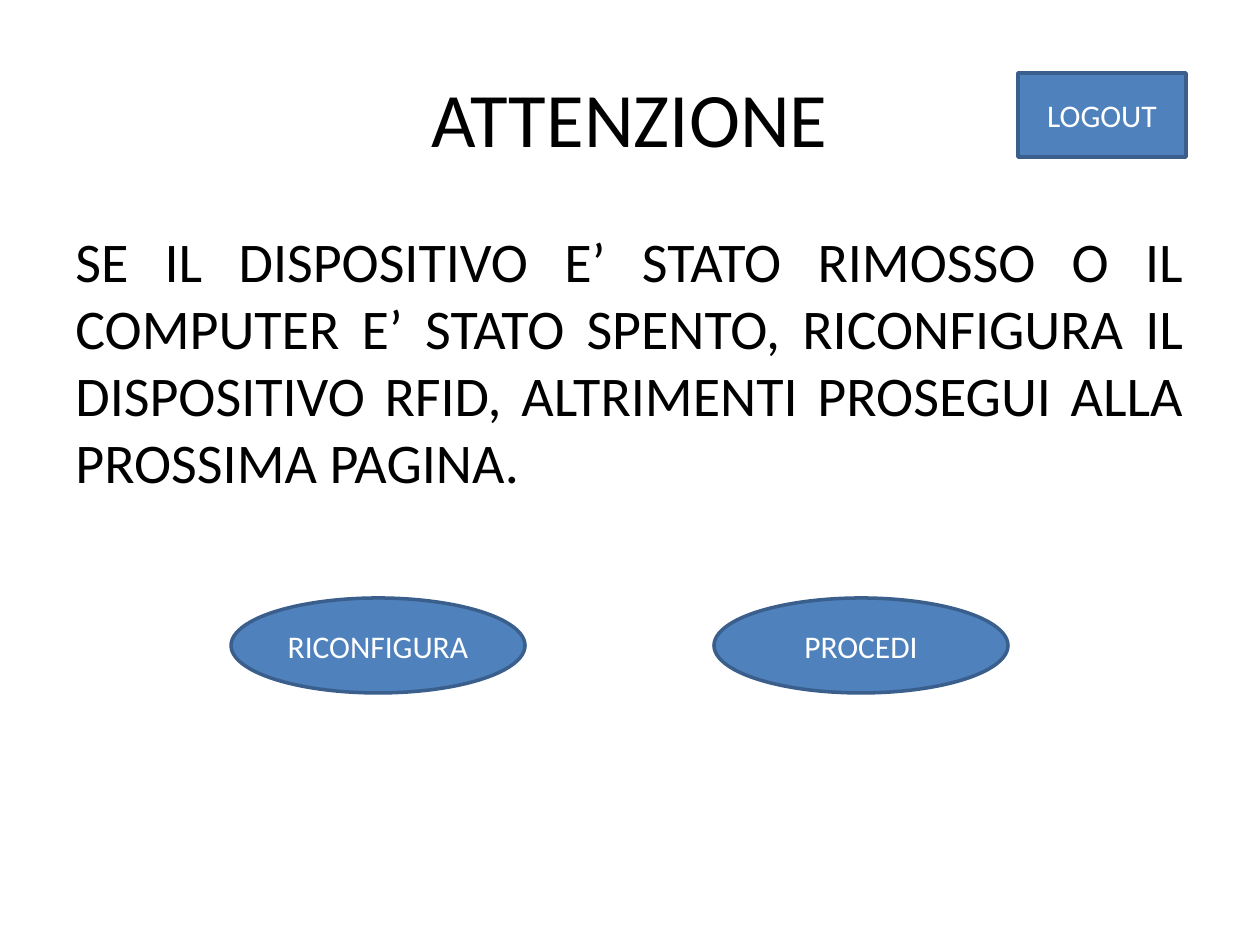
from pptx import Presentation
from pptx.dml.color import RGBColor
from pptx.enum.shapes import MSO_SHAPE
from pptx.enum.text import MSO_ANCHOR, PP_ALIGN
from pptx.util import Emu, Pt

SCALE = 914400 / 126  # EMU in one px

theme = {
    "face": "Calibri",
    "ink": RGBColor.from_string("000000"),
    "light": RGBColor.from_string("FFFFFF"),
    "fill": RGBColor.from_string("4F81BD"),
    "edge": RGBColor.from_string("3A5F8C"),
    "line": Pt(2),
    "title": Pt(44),
    "body": Pt(32),
    "label": Pt(18),
}


def px(*nums):
    return [Emu(round(n * SCALE)) for n in nums]


def write(shape, text, size, ink, align, anchor):
    frame = shape.text_frame
    para = frame.paragraphs[0]
    para.text = text
    para.font.color.rgb = theme[ink]
    formats = [
        (frame, {"word_wrap": True, "vertical_anchor": anchor}),
        (para, {"alignment": align}),
        (para.font, {"name": theme["face"], "size": theme[size]}),
    ]
    for part, values in formats:
        for name, value in values.items():
            setattr(part, name, value)


deck = Presentation()
deck.slide_width, deck.slide_height = px(1260, 945)
slide = deck.slides.add_slide(deck.slide_layouts[6])

# Title and message
message = (
    "SE IL DISPOSITIVO E’ STATO RIMOSSO O IL COMPUTER E’ STATO SPENTO, "
    "RICONFIGURA IL DISPOSITIVO RFID, ALTRIMENTI PROSEGUI ALLA PROSSIMA PAGINA."
)
texts = [
    ("ATTENZIONE", "title", 38, 158, PP_ALIGN.CENTER, MSO_ANCHOR.MIDDLE),
    (message, "body", 220, 624, PP_ALIGN.JUSTIFY, MSO_ANCHOR.TOP),
]
for text, size, top, height, align, anchor in texts:
    box = slide.shapes.add_textbox(*px(63, top, 1134, height))
    write(box, text, size, "ink", align, anchor)

# Buttons
buttons = [
    ("RICONFIGURA", MSO_SHAPE.OVAL, (231, 598, 294, 95)),
    ("PROCEDI", MSO_SHAPE.OVAL, (714, 598, 294, 95)),
    ("LOGOUT", MSO_SHAPE.RECTANGLE, (1018, 73, 168, 84)),
]
for text, kind, place in buttons:
    button = slide.shapes.add_shape(kind, *px(*place))
    button.shadow.inherit = False
    button.fill.solid()
    button.fill.fore_color.rgb = theme["fill"]
    button.line.color.rgb = theme["edge"]
    button.line.width = theme["line"]
    write(button, text, "label", "light", PP_ALIGN.CENTER, MSO_ANCHOR.MIDDLE)

deck.save("out.pptx")
